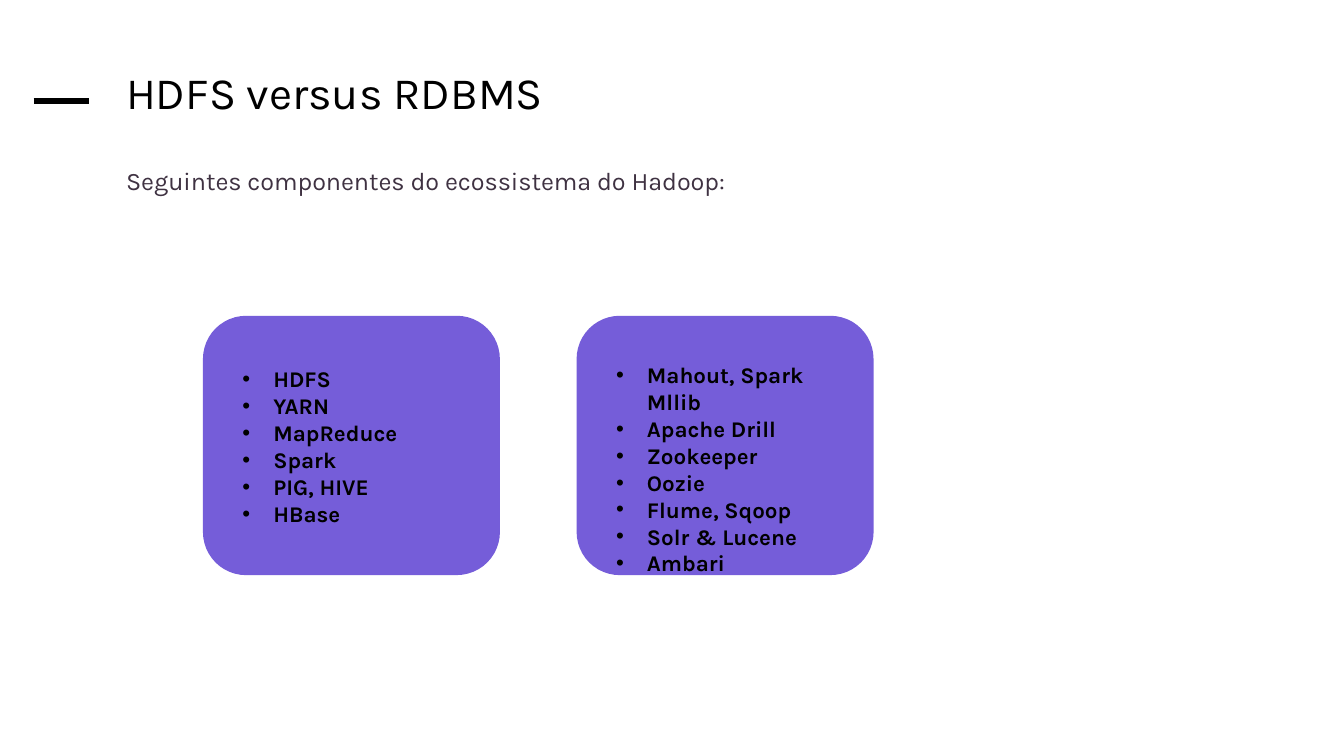
from lxml import etree
from pptx import Presentation
from pptx.dml.color import RGBColor
from pptx.enum import shapes, text
from pptx.oxml.ns import qn
from pptx.util import Inches, Pt

FONT = "Karla"
BLACK, PLUM, VIOLET = "000000", "3F3242", "755DD9"

TITLE = "HDFS versus RDBMS"
SUBTITLE = "Seguintes componentes do ecossistema do Hadoop:"
# components, top and height of each list
CARDS = [
    (["HDFS", "YARN", "MapReduce", "Spark", "PIG, HIVE", "HBase"], 2.67, 1.31),
    (["Mahout, Spark Mllib", "Apache Drill", "Zookeeper", "Oozie",
      "Flume, Sqoop", "Solr & Lucene", "Ambari"], 2.64, 1.72),
]
CARD_LEFT, CARD_TOP, CARD_WIDTH, CARD_HEIGHT = 1.51, 2.35, 2.21, 1.93
CARD_STEP = 2.78
LIST_WIDTH = 1.82
BULLET_INDENT = 0.23


def color(hex_code):
    return RGBColor.from_string(hex_code)


def add_bullet(para):
    """Give the paragraph a round bullet with a hanging indent."""
    props = para._p.get_or_add_pPr()
    props.set("marL", str(Inches(BULLET_INDENT)))
    props.set("indent", str(-Inches(BULLET_INDENT)))
    etree.SubElement(props, qn("a:buFont")).set("typeface", "Arial")
    etree.SubElement(props, qn("a:buChar")).set("char", "•")


def add_text(slide, lines, place, size, hex_code, bold=False, bullets=False):
    box = slide.shapes.add_textbox(*map(Inches, place))
    frame = box.text_frame
    frame.word_wrap = True
    frame.vertical_anchor = text.MSO_ANCHOR.TOP
    frame.text = "\n".join(lines)
    for para in frame.paragraphs:
        if bullets:
            add_bullet(para)
        para.font.name = FONT
        para.font.size = Pt(size)
        para.font.bold = bold
        para.font.color.rgb = color(hex_code)
    return box


def add_dash(slide):
    dash = slide.shapes.add_connector(
        shapes.MSO_CONNECTOR.STRAIGHT,
        Inches(0.25), Inches(0.75), Inches(0.66), Inches(0.75))
    dash.line.color.rgb = color(BLACK)
    dash.line.width = Pt(3)
    etree.SubElement(dash._element.spPr, qn("a:effectLst"))


def add_card(slide, left):
    card = slide.shapes.add_shape(
        shapes.MSO_SHAPE.ROUNDED_RECTANGLE,
        *map(Inches, (left, CARD_TOP, CARD_WIDTH, CARD_HEIGHT)))
    card.shadow.inherit = False
    card.fill.solid()
    card.fill.fore_color.rgb = color(VIOLET)
    card.line.fill.background()


def main():
    deck = Presentation()
    deck.slide_width = Inches(10)
    deck.slide_height = deck.slide_width * 9 // 16
    slide = deck.slides.add_slide(deck.slide_layouts[6])

    add_dash(slide)
    title = add_text(slide, [TITLE], (0.84, 0.48, 8.33, 0.7), 24, BLACK)
    title.text_frame.paragraphs[0].line_spacing = 0.9
    add_text(slide, [SUBTITLE], (0.84, 1.18, 5, 0.33), 13.5, PLUM)

    for index, (components, top, height) in enumerate(CARDS):
        left = CARD_LEFT + index * CARD_STEP
        add_card(slide, left)
        list_left = left + (CARD_WIDTH - LIST_WIDTH) / 2
        add_text(slide, components, (list_left, top, LIST_WIDTH, height),
                 12, BLACK, bold=True, bullets=True)

    deck.save("out.pptx")


if __name__ == "__main__":
    main()
